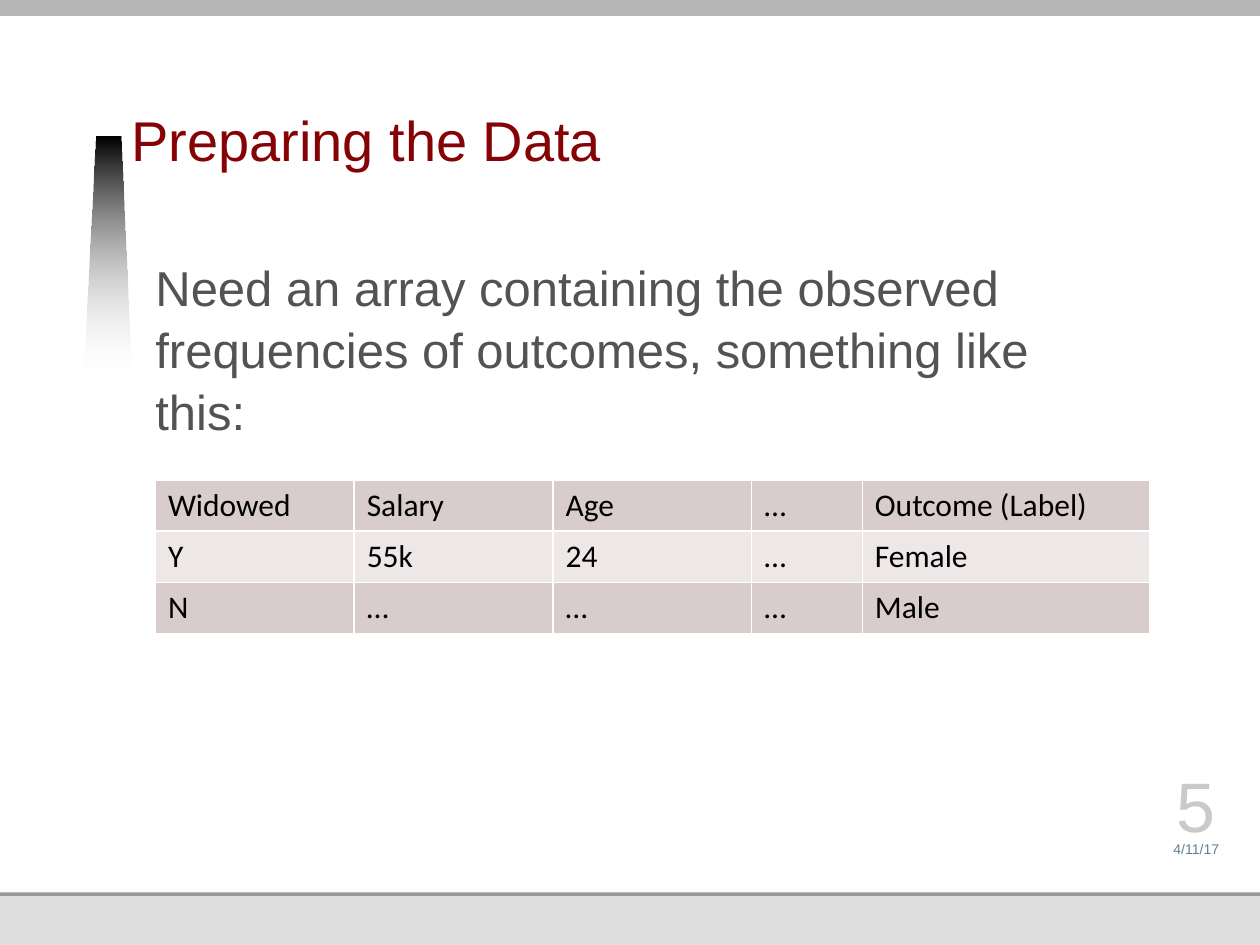
from dataclasses import dataclass

from lxml import etree
from pptx import Presentation
from pptx import util as u
from pptx.dml.color import RGBColor
from pptx.enum import shapes, text
from pptx.oxml import parse_xml
from pptx.oxml.ns import nsdecls, qn


@dataclass(frozen=True)
class Theme:
    # Colours
    paper: str = "FFFFFF"
    footer: str = "DFDFDF"
    rule: str = "989898"
    top_bar: str = "B5B5B5"
    beam: str = "000000"
    title: str = "850205"
    body: str = "535353"
    date: str = "618091"
    number: str = "CACACA"
    cell_text: str = "000000"
    bands: tuple = ("D9CCCC", "EDE7E7")
    # Type
    font: str = "Arial"
    table_font: str = "Calibri"
    title_size: float = 32
    body_size: float = 28
    date_size: float = 8
    number_size: float = 40
    table_size: float = 18


class SlideBuilder:
    def __init__(self, slide, theme):
        self.slide = slide
        self.theme = theme

    def bar(self, left, top, width, height, color):
        shape = self.slide.shapes.add_shape(
            shapes.MSO_SHAPE.RECTANGLE,
            u.Pt(left), u.Pt(top), u.Pt(width), u.Pt(height))
        shape.shadow.inherit = False
        shape.fill.solid()
        shape.fill.fore_color.rgb = RGBColor.from_string(color)
        shape.line.fill.background()

    def fading_beam(self, points):
        builder = self.slide.shapes.build_freeform(*points[0], scale=u.Pt(1))
        builder.add_line_segments(points[1:], close=True)
        shape = builder.convert_to_shape()
        shape.shadow.inherit = False
        shape.line.fill.background()
        shape.fill.gradient()
        shape.fill.gradient_angle = 270
        colors = (self.theme.beam, self.theme.paper)
        for stop, color in zip(shape.fill.gradient_stops, colors):
            stop.color.rgb = RGBColor.from_string(color)
        # The lower end is fully transparent
        end_color = shape.element.findall(".//" + qn("a:srgbClr"))[-1]
        etree.SubElement(end_color, qn("a:alpha"), val="0")

    def run(self, paragraph, words, font, size, color):
        run = paragraph.add_run()
        run.text = words
        run.font.name = font
        run.font.size = u.Pt(size)
        run.font.color.rgb = RGBColor.from_string(color)

    def label(self, left, top, width, height, words, size, color,
              anchor=text.MSO_ANCHOR.BOTTOM, align=text.PP_ALIGN.LEFT,
              bottom_inset=0, line_spacing=None):
        box = self.slide.shapes.add_textbox(
            u.Pt(left), u.Pt(top), u.Pt(width), u.Pt(height))
        frame = box.text_frame
        frame.word_wrap = True
        frame.vertical_anchor = anchor
        frame.margin_left = frame.margin_right = frame.margin_top = 0
        frame.margin_bottom = u.Pt(bottom_inset)
        paragraph = frame.paragraphs[0]
        paragraph.alignment = align
        if line_spacing:
            paragraph.line_spacing = line_spacing
        self.run(paragraph, words, self.theme.font, size, color)

    def table(self, left, top, column_widths, row_height, rows):
        table = self.slide.shapes.add_table(
            len(rows), len(column_widths), u.Pt(left), u.Pt(top),
            u.Pt(sum(column_widths)), u.Pt(row_height * len(rows))).table
        table.first_row = table.horz_banding = False
        for column, width in zip(table.columns, column_widths):
            column.width = u.Pt(width)
        for row_index, values in enumerate(rows):
            table.rows[row_index].height = u.Pt(row_height)
            band = self.theme.bands[row_index % 2]
            for column_index, value in enumerate(values):
                cell = table.cell(row_index, column_index)
                self.cell_borders(cell)
                cell.fill.solid()
                cell.fill.fore_color.rgb = RGBColor.from_string(band)
                self.run(cell.text_frame.paragraphs[0], value,
                         self.theme.table_font, self.theme.table_size,
                         self.theme.cell_text)

    def cell_borders(self, cell):
        properties = cell._tc.get_or_add_tcPr()
        for side in ("lnL", "lnR", "lnT", "lnB"):
            properties.append(parse_xml(
                f'<a:{side} {nsdecls("a")} w="{u.Pt(1)}"><a:solidFill>'
                f'<a:srgbClr val="{self.theme.paper}"/></a:solidFill></a:{side}>'))


def main():
    theme = Theme()
    presentation = Presentation()
    presentation.slide_width, presentation.slide_height = u.Pt(720), u.Pt(540)
    slide = presentation.slides.add_slide(presentation.slide_layouts[6])
    builder = SlideBuilder(slide, theme)

    # Layered background: footer band, thin rule, white page, top bar
    builder.bar(0, 0, 720, 540, theme.footer)
    builder.bar(0, 128, 720, 384, theme.rule)
    builder.bar(0, 0, 720, 510, theme.paper)
    builder.fading_beam([(48.5, 219.3), (54.7, 78), (68.7, 78), (75.2, 219.3)])
    builder.bar(0, -3, 732, 12.2, theme.top_bar)

    # Title and body
    builder.label(75, 24.5, 495, 77.5, "Preparing the Data",
                  theme.title_size, theme.title,
                  bottom_inset=3.6, line_spacing=u.Pt(34))
    builder.label(88.8, 145.5, 555, 345,
                  "Need an array containing the observed frequencies of "
                  "outcomes, something like this:",
                  theme.body_size, theme.body, anchor=text.MSO_ANCHOR.TOP,
                  bottom_inset=3.6, line_spacing=1.05)

    # Date and slide number
    builder.label(657.4, 473.8, 52.5, 15.8, "4/11/17", theme.date_size,
                  theme.date, align=text.PP_ALIGN.CENTER)
    builder.label(657.4, 443.5, 52.5, 40.3, "5", theme.number_size,
                  theme.number, align=text.PP_ALIGN.CENTER)

    # Sample of the observed data
    builder.table(88.8, 274.3, [113.6, 113.6, 113.6, 63.2, 164], 29.28, [
        ["Widowed", "Salary", "Age", "…", "Outcome (Label)"],
        ["Y", "55k", "24", "…", "Female"],
        ["N", "…", "…", "…", "Male"],
    ])

    presentation.save("out.pptx")


if __name__ == "__main__":
    main()
